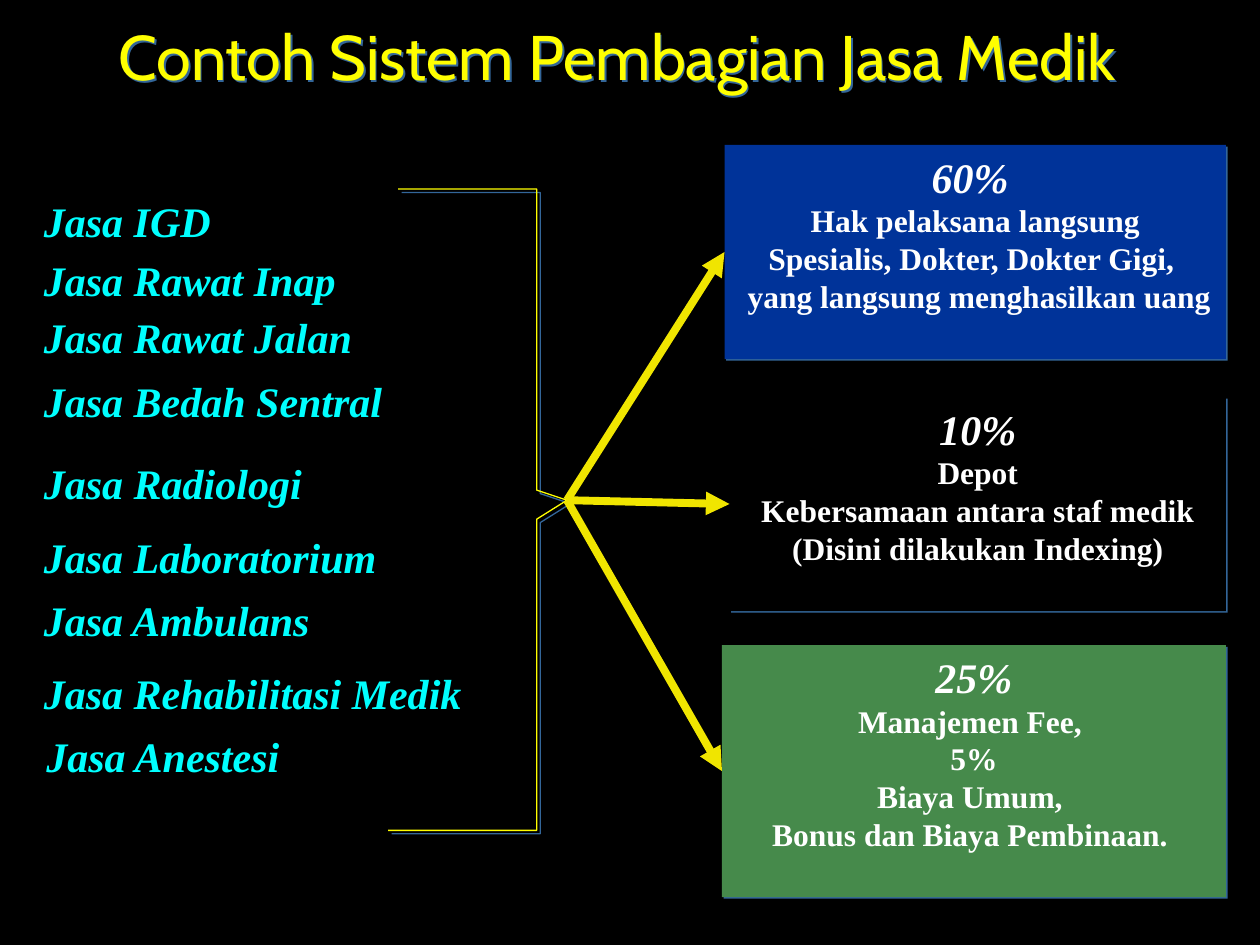
import pptx
import pptx.util
import pptx.dml.color
import pptx.enum.shapes
import pptx.enum.text
import pptx.oxml
import pptx.oxml.ns
from pptx.util import Inches

COLORS = {
    "background": "000000",
    "title": "FFFF00",
    "service": "00FFFF",
    "text": "FFFFFF",
    "arrow": "F0E500",
    "shadow": "336699",
    "blue": "003399",
    "green": "468A4B",
}
SERIF = "Times New Roman"
ALIGN = pptx.enum.text.PP_ALIGN
HUB = (4.5, 3.97)

SERVICES = [
    ("Jasa IGD", 0.25, 1.5),
    ("Jasa Rawat Inap", 0.25, 1.97),
    ("Jasa Rawat Jalan", 0.25, 2.42),
    ("Jasa Bedah Sentral", 0.25, 2.93),
    ("Jasa Radiologi", 0.25, 3.58),
    ("Jasa Laboratorium", 0.25, 4.17),
    ("Jasa Ambulans", 0.25, 4.67),
    ("Jasa Rehabilitasi Medik", 0.25, 5.25),
    ("Jasa Anestesi", 0.27, 5.75),
]
BRACKET = [(3.16, 1.5), (4.26, 1.5), (4.26, 3.89), HUB,
           (4.26, 4.12), (4.26, 6.59), (3.08, 6.59)]
SHARES = [
    ((5.75, 1.15, 3.98, 1.7), "blue", "60% ",
     ["Hak pelaksana langsung", "Spesialis, Dokter, Dokter Gigi, ",
      " yang langsung menghasilkan uang"]),
    ((5.79, 3.15, 3.94, 1.7), "background", "10%",
     ["Depot", "Kebersamaan antara staf medik", "(Disini dilakukan Indexing)"]),
    ((5.73, 5.12, 4, 2), "green", "25%",
     ["Manajemen Fee, ", "5%", "Biaya Umum, ", "Bonus dan Biaya Pembinaan. "]),
]


def color(name):
    return pptx.dml.color.RGBColor.from_string(COLORS[name])


def add_effects(shape, distance=None):
    namespace = pptx.oxml.ns.nsdecls("a")
    shadow = ""
    if distance:
        shadow = (f'<a:outerShdw dist="{pptx.util.Pt(distance)}" dir="2700000" algn="ctr" '
                  f'rotWithShape="0"><a:srgbClr val="{COLORS["shadow"]}"/></a:outerShdw>')
    effects = pptx.oxml.parse_xml(f"<a:effectLst {namespace}>{shadow}</a:effectLst>")
    shape._element.spPr.append(effects)


def add_span(para, text, size, name, font=SERIF, bold=True, italic=False):
    span = para.add_run()
    span.text = text
    span.font.size = pptx.util.Pt(size)
    span.font.name = font
    span.font.bold = bold
    span.font.italic = italic
    span.font.color.rgb = color(name)


def add_text_box(page, left, top, width, height):
    box = page.shapes.add_textbox(Inches(left), Inches(top), Inches(width), Inches(height))
    box.text_frame.word_wrap = True
    return box


def add_title(page):
    box = add_text_box(page, 0.2, 0.35, 9.4, 0.4)
    para = box.text_frame.paragraphs[0]
    para.alignment = ALIGN.CENTER
    para.line_spacing = 0.5
    add_span(para, "Contoh Sistem Pembagian Jasa Medik", 36, "title", "Cabin", bold=False)
    add_effects(box, 1.4)


def add_service(page, text, left, top):
    box = add_text_box(page, left, top, 3.9, 0.5)
    add_span(box.text_frame.paragraphs[0], text, 24, "service", italic=True)


def add_bracket(page):
    points = [(Inches(x), Inches(y)) for x, y in BRACKET]
    builder = page.shapes.build_freeform(*points[0])
    builder.add_line_segments(points[1:], close=False)
    bracket = builder.convert_to_shape()
    bracket.fill.background()
    bracket.line.color.rgb = color("title")
    bracket.line.width = pptx.util.Pt(0.75)
    add_effects(bracket, 2.8)


def add_share(page, bounds, fill, percent, details):
    box = page.shapes.add_shape(pptx.enum.shapes.MSO_SHAPE.RECTANGLE, *map(Inches, bounds))
    box.fill.solid()
    box.fill.fore_color.rgb = color(fill)
    box.line.fill.background()
    add_effects(box, 1.4)
    frame = box.text_frame
    frame.word_wrap = True
    frame.vertical_anchor = pptx.enum.text.MSO_ANCHOR.TOP
    para = frame.paragraphs[0]
    para.alignment = ALIGN.CENTER
    add_span(para, percent, 24, "text", italic=True)
    for detail in details:
        para = frame.add_paragraph()
        para.alignment = ALIGN.CENTER
        add_span(para, detail, 18, "text")


def add_arrow(page, left, middle):
    arrow = page.shapes.add_connector(
        pptx.enum.shapes.MSO_CONNECTOR.STRAIGHT, *map(Inches, (*HUB, left, middle)))
    arrow.line.color.rgb = color("arrow")
    arrow.line.width = pptx.util.Pt(4.5)
    outline = arrow._element.spPr.find(pptx.oxml.ns.qn("a:ln"))
    namespace = pptx.oxml.ns.nsdecls("a")
    outline.append(pptx.oxml.parse_xml(f'<a:tailEnd {namespace} type="triangle"/>'))
    add_effects(arrow)


def main():
    deck = pptx.Presentation()
    deck.slide_width = Inches(10)
    deck.slide_height = Inches(7.5)
    page = deck.slides.add_slide(deck.slide_layouts[6])
    page.background.fill.solid()
    page.background.fill.fore_color.rgb = color("background")
    add_title(page)
    for service in SERVICES:
        add_service(page, *service)
    add_bracket(page)
    for share in SHARES:
        add_share(page, *share)
    for (left, top, width, height), *content in SHARES:
        add_arrow(page, left, top + height / 2)
    deck.save("out.pptx")


if __name__ == "__main__":
    main()
